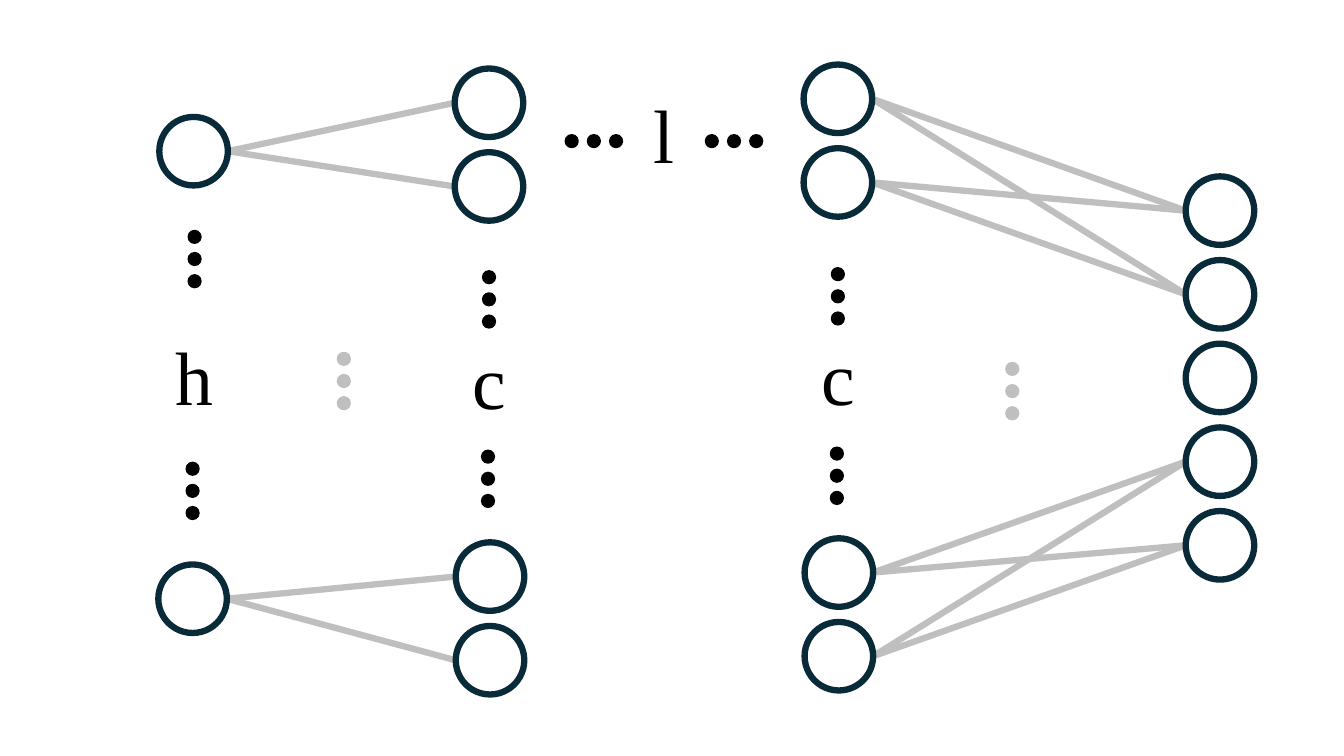
"""Build a slide of a layered network: h inputs, l hidden layers of c nodes and five outputs."""
from dataclasses import dataclass
from itertools import product

from pptx import Presentation
from pptx import util as u
from pptx.dml.color import RGBColor
from pptx.enum import shapes, text
from pptx.oxml.ns import qn
from lxml import etree


@dataclass(frozen=True)
class Theme:
    ring: RGBColor = RGBColor.from_string("092A39")
    edge: RGBColor = RGBColor.from_string("BFBFBF")
    ink: RGBColor = RGBColor.from_string("000000")
    font: str = "Times New Roman"
    label_size: int = 54
    stroke: float = 4.5
    dot_stroke: float = 1.5


theme = Theme()
PX = 9144
NODE, DOT = 68, 12
NODE_STEP, DOT_STEP = 83, 22

deck = Presentation()
deck.slide_width, deck.slide_height = 1333 * PX, 750 * PX
slide = deck.slides.add_slide(deck.slide_layouts[6])


def add_label(content, *, left, top, width=54, height=101, size=theme.label_size, color=theme.ink):
    box = slide.shapes.add_textbox(left * PX, top * PX, width * PX, height * PX)
    frame = box.text_frame
    frame.word_wrap = True
    frame.auto_size = text.MSO_AUTO_SIZE.SHAPE_TO_FIT_TEXT
    paragraph = frame.paragraphs[0]
    paragraph.alignment = text.PP_ALIGN.CENTER
    run = paragraph.add_run()
    run.text = content
    run.font.name = theme.font
    run.font.size = u.Pt(size)
    run.font.color.rgb = color


def add_circle(left, top, diameter, *, outline, stroke, filled):
    circle = slide.shapes.add_shape(
        shapes.MSO_SHAPE.OVAL, left * PX, top * PX, diameter * PX, diameter * PX)
    circle.shadow.inherit = False
    if filled:
        circle.fill.solid()
        circle.fill.fore_color.rgb = outline
    else:
        circle.fill.background()
    circle.line.color.rgb = outline
    circle.line.width = u.Pt(stroke)


inputs = [(158, 116), (157, 560)]
first_top, first_bottom, last_top, last_bottom = [
    [(left, top + NODE_STEP * i) for i in range(2)]
    for left, top in [(451, 68), (452, 538), (797, 64), (798, 534)]
]
outputs = [(1176, 175 + NODE_STEP * i) for i in range(5)]

linked_layers = [
    (last_top, outputs[:2]),
    (last_bottom, outputs[3:]),
    (inputs[:1], first_top),
    (inputs[1:], first_bottom),
]
for sources, targets in linked_layers:
    for (from_left, from_top), (to_left, to_top) in product(sources, targets):
        edge = slide.shapes.add_connector(
            shapes.MSO_CONNECTOR.STRAIGHT,
            (from_left + NODE) * PX, (from_top + NODE // 2) * PX,
            to_left * PX, (to_top + NODE // 2) * PX)
        edge.line.color.rgb = theme.edge
        edge.line.width = u.Pt(theme.stroke)
        etree.SubElement(edge._element.spPr, qn("a:effectLst"))

for left, top in inputs + first_top + first_bottom + last_top + last_bottom + outputs:
    add_circle(left, top, NODE, outline=theme.ring, stroke=theme.stroke, filled=False)

down, across = (0, DOT_STEP), (DOT_STEP, 0)
ellipses = [
    (998, 360, down, theme.edge),
    (335, 350, down, theme.edge),
    (187, 229, down, theme.ink),
    (185, 459, down, theme.ink),
    (479, 269, down, theme.ink),
    (478, 447, down, theme.ink),
    (825, 266, down, theme.ink),
    (824, 444, down, theme.ink),
    (561, 134, across, theme.ink),
    (700, 134, across, theme.ink),
]
for (left, top, (step_x, step_y), color), i in product(ellipses, range(3)):
    add_circle(left + step_x * i, top + step_y * i, DOT,
               outline=color, stroke=theme.dot_stroke, filled=True)

add_label("h", left=132, top=322, width=121)
add_label("c", left=458, top=326)
add_label("c", left=804, top=322)
add_label("l", left=632, top=82)

deck.save("out.pptx")
